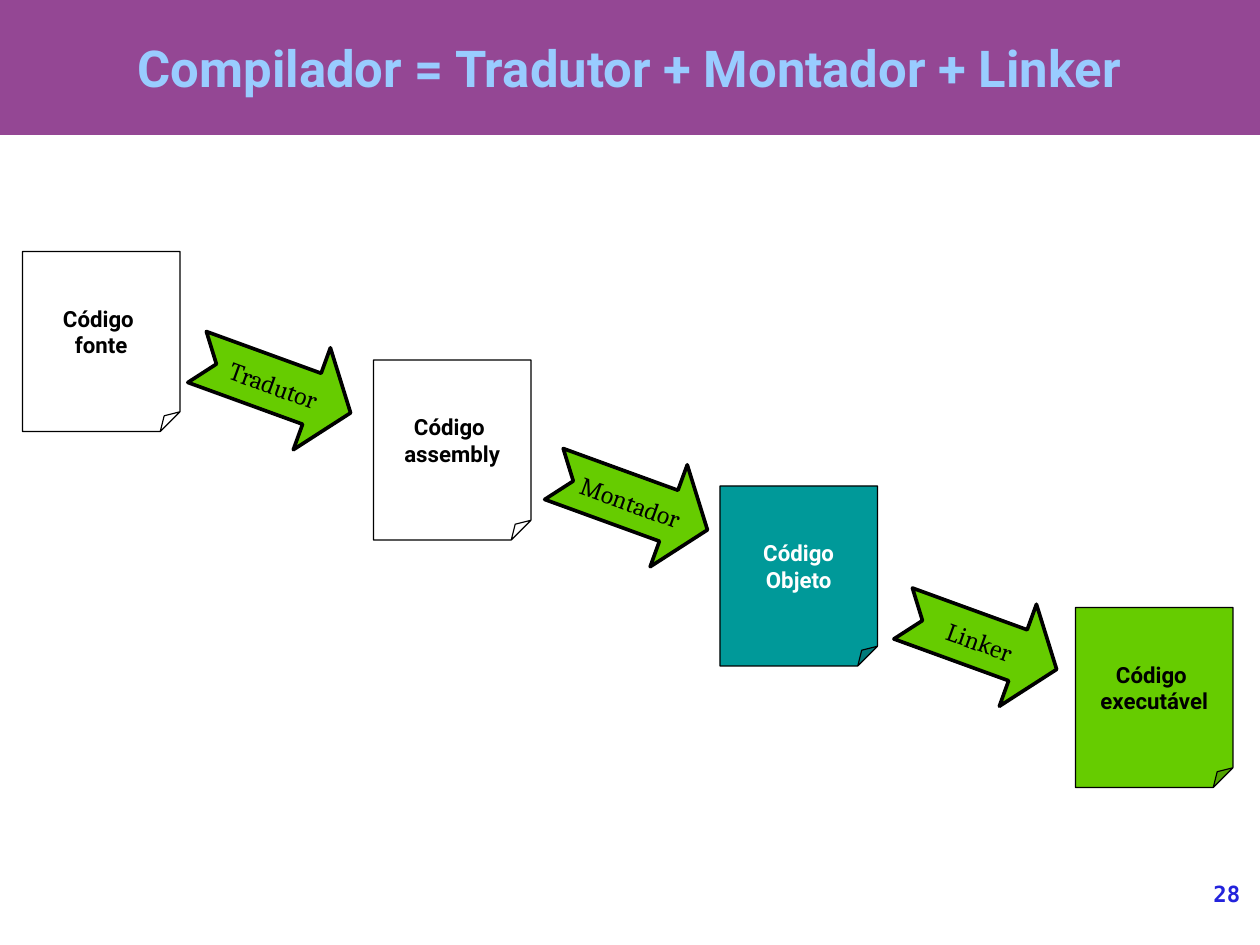
from lxml import etree
from pptx import Presentation
from pptx.dml.color import RGBColor
from pptx.enum import shapes, text
from pptx.oxml.ns import qn
from pptx.util import Cm, Pt

PURPLE = RGBColor(0x94, 0x47, 0x94)
LIGHT_BLUE = RGBColor(0x99, 0xCC, 0xFF)
TEAL = RGBColor(0x00, 0x99, 0x99)
GREEN = RGBColor(0x66, 0xCC, 0x00)
BLUE = RGBColor(0x23, 0x23, 0xDC)
BLACK = RGBColor(0x00, 0x00, 0x00)
WHITE = RGBColor(0xFF, 0xFF, 0xFF)


def write(shape, content, size, font_name, color, bold=True, align=text.PP_ALIGN.CENTER):
    frame = shape.text_frame
    frame.text = content
    for paragraph in frame.paragraphs:
        paragraph.alignment = align
        paragraph.font.size = Pt(size)
        paragraph.font.name = font_name
        paragraph.font.bold = bold
        paragraph.font.color.rgb = color


def add_filled(kind, left, top, width, height, fill, line_width=None):
    """Add a preset shape; no fill or no line when the value is None."""
    shape = slide.shapes.add_shape(kind, Cm(left), Cm(top), Cm(width), Cm(height))
    shape.shadow.inherit = False
    if fill is None:
        shape.fill.background()
    else:
        shape.fill.solid()
        shape.fill.fore_color.rgb = fill
    if line_width is None:
        shape.line.fill.background()
    else:
        shape.line.color.rgb = BLACK
        shape.line.width = Pt(line_width)
    shape.text_frame.vertical_anchor = text.MSO_ANCHOR.MIDDLE
    shape.text_frame.word_wrap = False
    return shape


presentation = Presentation()
presentation.slide_width = Cm(28)
presentation.slide_height = Cm(21)
slide = presentation.slides.add_slide(presentation.slide_layouts[6])

title = add_filled(shapes.MSO_SHAPE.RECTANGLE, 0, 0, 28, 3, PURPLE)
write(title, "Compilador = Tradutor + Montador + Linker", 32, "Roboto", LIGHT_BLUE)

# Code at each stage: left, top, label, fill, text colour
pages = [
    (0.5, 5.59, "Código \vfonte", None, BLACK),
    (8.3, 8.0, "Código \vassembly", None, BLACK),
    (16.0, 10.8, "Código\nObjeto", TEAL, WHITE),
    (23.9, 13.5, "Código \vexecutável", GREEN, BLACK),
]
for left, top, label, fill, color in pages:
    page = add_filled(shapes.MSO_SHAPE.FOLDED_CORNER, left, top, 3.5, 4, fill, 0)
    # python-pptx lists no adjustment for this preset, so the fold size is set in XML
    adjustments = next(page.element.iter(qn("a:avLst")))
    etree.SubElement(adjustments, qn("a:gd"), name="adj", fmla="val 12500")
    write(page, label, 14, "Roboto", color)

# Tools that turn one stage into the next
tools = [
    (4.27, 7.35, "Tradutor"),
    (12.2, 9.95, "Montador"),
    (19.96, 13.05, "Linker"),
]
for left, top, label in tools:
    arrow = add_filled(shapes.MSO_SHAPE.NOTCHED_RIGHT_ARROW, left, top, 3.63, 2.41, GREEN, 2.3)
    arrow.adjustments[0] = 0.5
    arrow.adjustments[1] = 0.38
    arrow.rotation = 20
    write(arrow, label, 16, "Cambria", BLACK, bold=False)

number = slide.shapes.add_textbox(Cm(23.29), Cm(19.56), Cm(4.27), Cm(1.44))
frame = number.text_frame
frame.word_wrap = True
frame.margin_left = frame.margin_right = frame.margin_top = frame.margin_bottom = 0
write(number, "28", 14, "DejaVu Sans Mono", BLUE, align=text.PP_ALIGN.RIGHT)

presentation.save("out.pptx")
